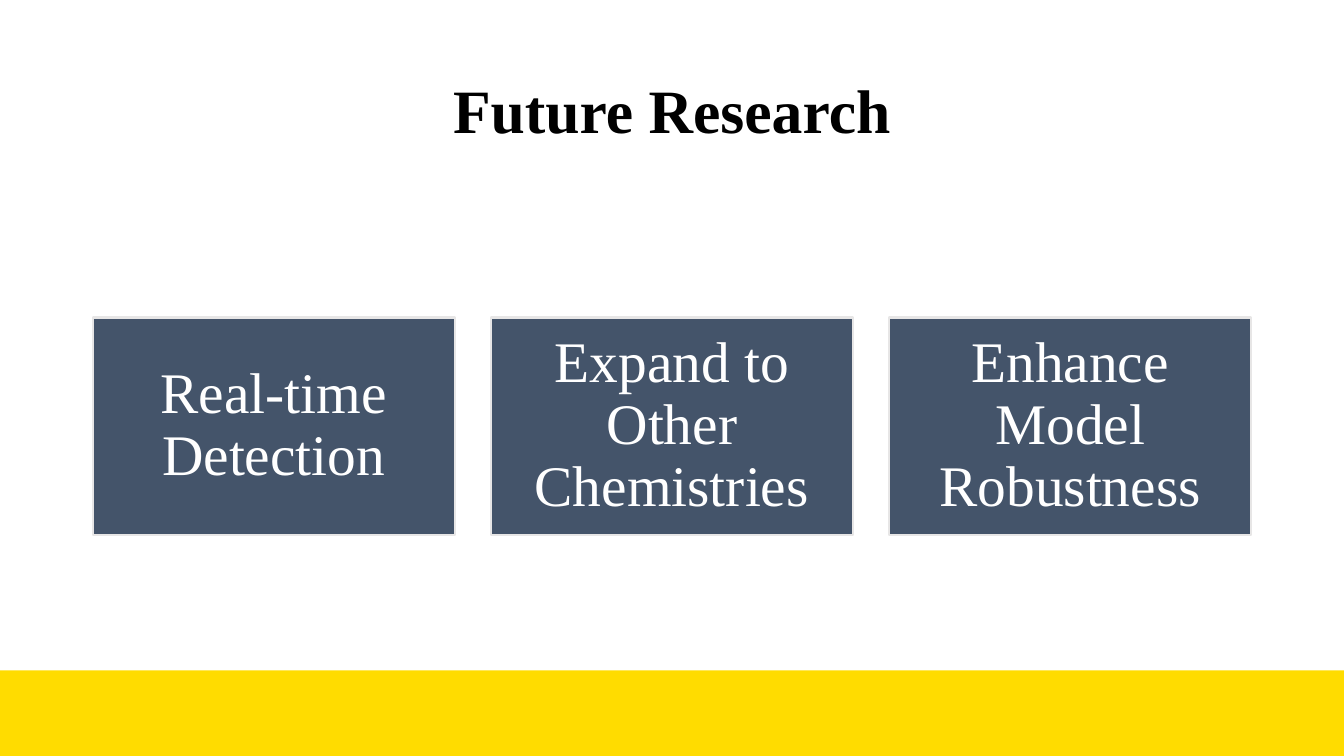
import pptx
import pptx.dml.color
import pptx.enum.shapes
import pptx.enum.text
import pptx.util

WIDTH, HEIGHT = 13.33, 7.5
MARGIN, PITCH, CARD_W = 0.92, 3.95, 3.59
CARD_TOP, CARD_H = 3.15, 2.16
BAND_H = 0.85
BLACK = pptx.dml.color.RGBColor(0x00, 0x00, 0x00)
WHITE = pptx.dml.color.RGBColor(0xFF, 0xFF, 0xFF)
SLATE = pptx.dml.color.RGBColor(0x44, 0x54, 0x6A)
SILVER = pptx.dml.color.RGBColor(0xE7, 0xE6, 0xE6)
YELLOW = pptx.dml.color.RGBColor(0xFF, 0xDC, 0x00)
TOPICS = ["Real-time Detection", "Expand to Other Chemistries", "Enhance Model Robustness"]


class Deck:
    """Holds the text style and the current slide, and draws its elements."""

    def __init__(self, font):
        self.font = font
        self.prs = pptx.Presentation()
        self.prs.slide_width = pptx.util.Inches(WIDTH)
        self.prs.slide_height = pptx.util.Inches(HEIGHT)
        self.s = self.prs.slides.add_slide(self.prs.slide_layouts[6])

    def add_text(self, sp, text, size, color, inset, bold=False):
        tf = sp.text_frame
        tf.word_wrap = True
        tf.vertical_anchor = pptx.enum.text.MSO_ANCHOR.MIDDLE
        tf.margin_left = tf.margin_right = pptx.util.Inches(inset)
        tf.margin_top = tf.margin_bottom = pptx.util.Inches(inset)
        p = tf.paragraphs[0]
        p.alignment = pptx.enum.text.PP_ALIGN.CENTER
        p.line_spacing = 0.9
        r = p.add_run()
        r.text = text
        r.font.name = self.font
        r.font.size = pptx.util.Pt(size)
        r.font.bold = bold
        r.font.color.rgb = color

    def rect(self, x, y, w, h, fill, line=None):
        sp = self.s.shapes.add_shape(
            pptx.enum.shapes.MSO_SHAPE.RECTANGLE, *map(pptx.util.Inches, (x, y, w, h)))
        sp.shadow.inherit = False
        sp.fill.solid()
        sp.fill.fore_color.rgb = fill
        if line is None:
            sp.line.fill.background()
        else:
            sp.line.color.rgb = line
            sp.line.width = pptx.util.Pt(1.5)
        return sp

    def band(self):
        self.rect(0, HEIGHT - BAND_H, WIDTH, BAND_H, YELLOW)

    def title(self, text):
        box = (MARGIN, 0.4, WIDTH - 2 * MARGIN, 1.45)
        sp = self.s.shapes.add_textbox(*map(pptx.util.Inches, box))
        self.add_text(sp, text, 44, BLACK, 0.05, bold=True)

    def card(self, column, text):
        sp = self.rect(MARGIN + column * PITCH, CARD_TOP, CARD_W, CARD_H, SLATE, SILVER)
        self.add_text(sp, text, 41, WHITE, 0.17)


def main():
    deck = Deck("Times New Roman")
    deck.band()
    deck.title("Future Research")
    for column, topic in enumerate(TOPICS):
        deck.card(column, topic)
    deck.prs.save("out.pptx")


if __name__ == "__main__":
    main()
